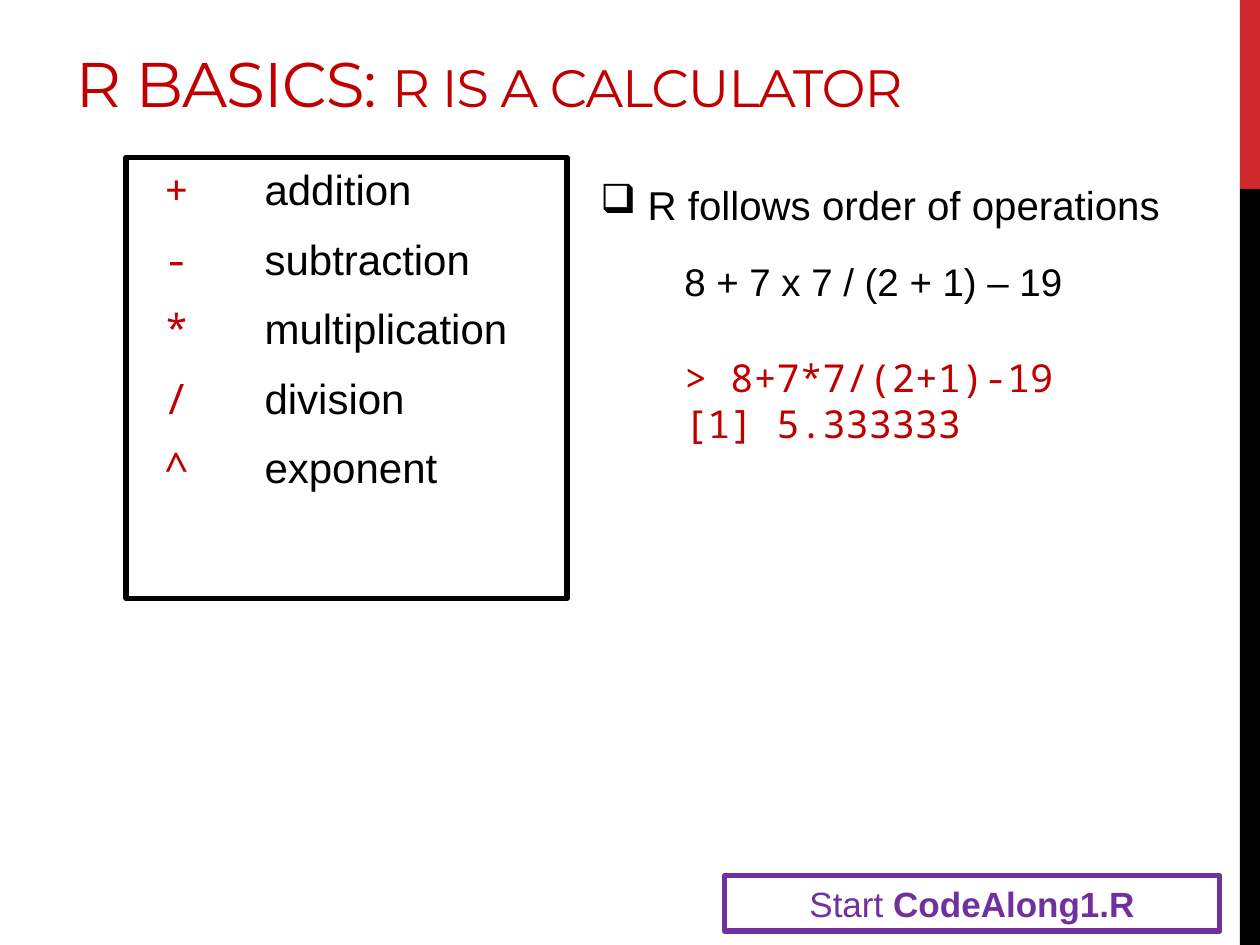
from dataclasses import dataclass
from lxml import etree
from pptx import Presentation
from pptx.dml.color import RGBColor
from pptx.enum import shapes, text
from pptx.oxml import ns
from pptx.util import Pt


@dataclass
class Theme:
    red: str = "C00000"
    accent: str = "D1282E"
    black: str = "000000"
    white: str = "FFFFFF"
    purple: str = "7030A0"
    head: str = "Montserrat"
    body: str = "Arial"
    code: str = "Noto Sans Mono"
    title: int = 36
    subtitle: int = 30
    operator: int = 24
    point: int = 23
    formula: int = 22
    note: int = 20


th = Theme()
prs = Presentation()
prs.slide_width, prs.slide_height = Pt(720), Pt(540)
s = prs.slides.add_slide(prs.slide_layouts[5])


def add_box(x, y, w, h, fill=None, line=None):
    sp = s.shapes.add_shape(shapes.MSO_SHAPE.RECTANGLE, Pt(x), Pt(y), Pt(w), Pt(h))
    sp.shadow.inherit = False
    if fill:
        sp.fill.solid()
        sp.fill.fore_color.rgb = RGBColor.from_string(fill)
    else:
        sp.fill.background()
    if line:
        sp.line.color.rgb = RGBColor.from_string(line)
        sp.line.width = Pt(3)
    else:
        sp.line.fill.background()
    return sp


def add_run(p, words, size, font, color, bold=False):
    r = p.add_run()
    r.text = words
    r.font.size, r.font.name, r.font.bold = Pt(size), font, bold
    r.font.color.rgb = RGBColor.from_string(color)
    return r


add_box(708.5, 0, 11.5, 108, th.accent)
add_box(708.5, 108, 11.5, 432, th.black)

title = s.shapes.title
title.left, title.top, title.width, title.height = Pt(36), Pt(12), Pt(600), Pt(60)
tf = title.text_frame
tf.vertical_anchor = text.MSO_ANCHOR.BOTTOM
p = tf.paragraphs[0]
p.alignment = text.PP_ALIGN.LEFT
for words, size in (("R BASICS: ", th.title), ("R IS A CALCULATOR", th.subtitle)):
    r = add_run(p, words, size, th.head, th.red)
    r.font._element.set("spc", "-60")

operators = (
    ("+", "addition"),
    ("-", "subtraction"),
    ("*", "multiplication"),
    ("/", "division"),
    ("^", "exponent"),
)
tf = add_box(72, 90, 252, 252, line=th.black).text_frame
tf.vertical_anchor = text.MSO_ANCHOR.TOP
tf.margin_left = Pt(21.6)
for i, (symbol, meaning) in enumerate(operators):
    p = tf.add_paragraph() if i else tf.paragraphs[0]
    p.alignment = text.PP_ALIGN.LEFT
    p.line_spacing, p.space_before, p.space_after = Pt(28.9), Pt(4.8), Pt(6)
    tabs = etree.SubElement(p._p.get_or_add_pPr(), ns.qn("a:tabLst"))
    etree.SubElement(tabs, ns.qn("a:tab"), pos=str(Pt(57.6)), algn="l")
    add_run(p, symbol, th.operator, th.code, th.red)
    add_run(p, "\t" + meaning, th.operator, th.body, th.black)

tf = s.shapes.add_textbox(Pt(336), Pt(99.4), Pt(354), Pt(111)).text_frame
tf.word_wrap = True
p = tf.paragraphs[0]
p.space_before, p.space_after = Pt(3), Pt(6)
pPr = p._p.get_or_add_pPr()
pPr.set("marL", str(Pt(27)))
pPr.set("indent", str(-Pt(27)))
etree.SubElement(pPr, ns.qn("a:buChar"), char="\u2751")
add_run(p, "R follows order of operations", th.point, th.body, th.black)

formula_lines = (
    ("8 + 7 x 7 / (2 + 1) – 19", th.body, th.black, 0),
    ("> 8+7*7/(2+1)-19", th.code, th.red, 28.5),
    ("[1] 5.333333", th.code, th.red, 0),
)
tf = s.shapes.add_textbox(Pt(384), Pt(144), Pt(252), Pt(114)).text_frame
tf.word_wrap = True
for i, (words, font, color, gap) in enumerate(formula_lines):
    p = tf.add_paragraph() if i else tf.paragraphs[0]
    p.line_spacing, p.space_before = Pt(26.3), Pt(gap)
    add_run(p, words, th.formula, font, color)

tf = add_box(414, 500.4, 283, 31.6, th.white, th.purple).text_frame
p = tf.paragraphs[0]
p.alignment = text.PP_ALIGN.CENTER
add_run(p, "Start ", th.note, th.body, th.purple)
add_run(p, "CodeAlong1.R", th.note, th.body, th.purple, bold=True)

prs.save("out.pptx")
